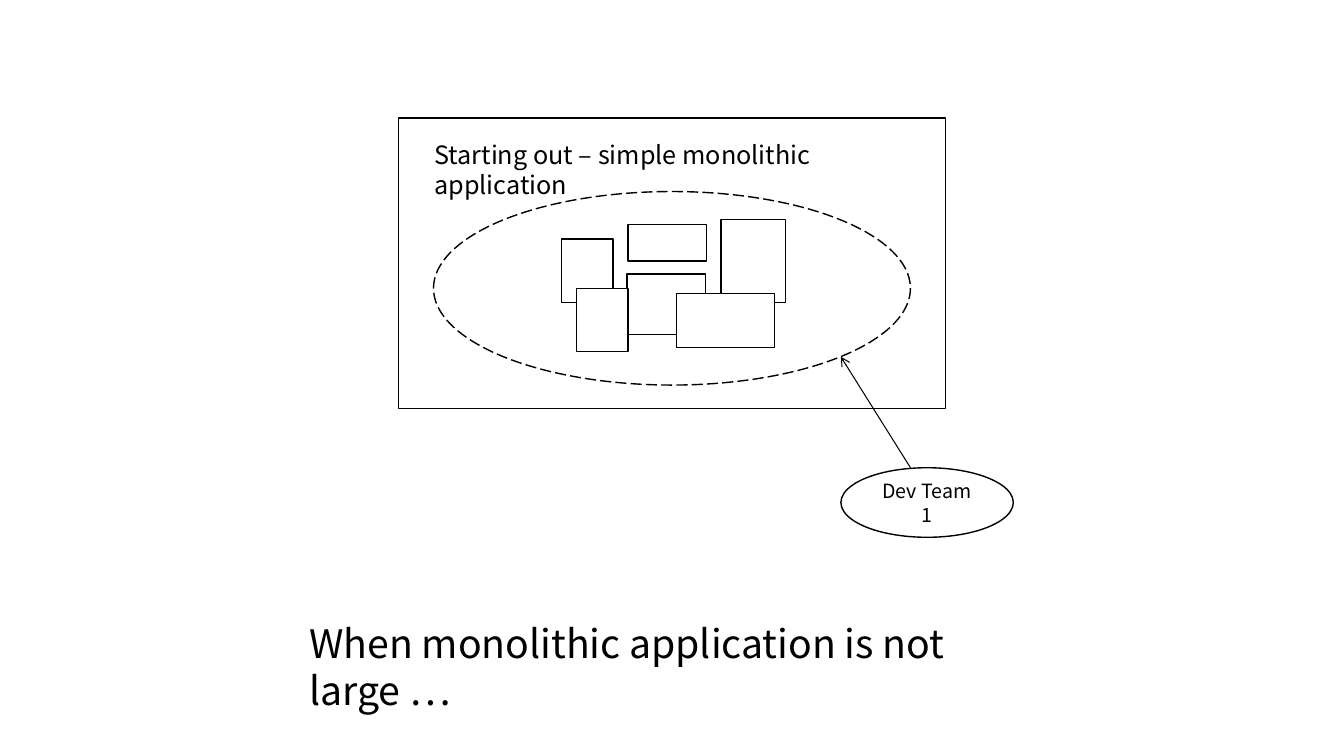
from lxml.etree import SubElement
from pptx import Presentation
from pptx.dml.color import RGBColor
from pptx.enum.dml import MSO_LINE
from pptx.enum.shapes import MSO_CONNECTOR, MSO_SHAPE
from pptx.enum.text import MSO_ANCHOR, PP_ALIGN
from pptx.oxml.ns import qn
from pptx.util import Inches, Pt

BLACK = RGBColor(0x00, 0x00, 0x00)
WHITE = RGBColor(0xFF, 0xFF, 0xFF)
FONT = "Noto Sans CJK SC"
CELL = Inches(0.1)

# Column, row, columns wide, rows high; from back to front
MODULES = [
    (55.7, 23.7, 5.1, 6.3),
    (62.3, 22.3, 7.8, 3.6),
    (62.2, 27.2, 7.8, 6.0),
    (57.2, 28.6, 5.1, 6.3),
    (71.5, 21.8, 6.4, 8.2),
    (67.1, 29.1, 9.7, 5.4),
]


class DiagramSlide:
    """Draws black outlines and text on a grid of tenth-inch cells."""

    def __init__(self, slide):
        self.slide = slide

    def cells(self, *counts):
        """Turn grid counts into lengths."""
        return [round(count * CELL) for count in counts]

    def set_text(self, text_frame, text, size, alignment):
        text_frame.word_wrap = True
        paragraph = text_frame.paragraphs[0]
        paragraph.text = text
        paragraph.alignment = alignment
        paragraph.font.name = FONT
        paragraph.font.size = Pt(size)
        paragraph.font.color.rgb = BLACK

    def label(self, box, text, size):
        shape = self.slide.shapes.add_textbox(*self.cells(*box))
        self.set_text(shape.text_frame, text, size, PP_ALIGN.LEFT)

    def outline(self, kind, box, fill=None, dash=None):
        shape = self.slide.shapes.add_shape(kind, *self.cells(*box))
        shape.shadow.inherit = False
        if fill is None:
            shape.fill.background()
        else:
            shape.fill.solid()
            shape.fill.fore_color.rgb = fill
        shape.line.color.rgb = BLACK
        shape.line.width = Pt(1)
        if dash is not None:
            shape.line.dash_style = dash
        return shape

    def team(self, box, name):
        shape = self.outline(MSO_SHAPE.OVAL, box)
        shape.text_frame.vertical_anchor = MSO_ANCHOR.MIDDLE
        self.set_text(shape.text_frame, name, 14, PP_ALIGN.CENTER)

    def arrow(self, start, end):
        connector = self.slide.shapes.add_connector(
            MSO_CONNECTOR.STRAIGHT, *self.cells(*start, *end))
        connector.line.color.rgb = BLACK
        connector.line.width = Pt(0.75)
        properties = connector._element.spPr
        SubElement(properties.get_or_add_ln(), qn("a:tailEnd"), type="arrow")
        SubElement(properties, qn("a:effectLst"))


def main():
    presentation = Presentation()
    presentation.slide_width = Inches(13.33)
    presentation.slide_height = Inches(7.5)
    diagram = DiagramSlide(
        presentation.slides.add_slide(presentation.slide_layouts[6]))

    diagram.label((29.7, 60.9, 73.9, 5.7),
                  "When monolithic application is not large …", 28)
    diagram.outline(MSO_SHAPE.RECTANGLE, (39.5, 11.7, 54.3, 28.8))
    diagram.label((42.1, 13.3, 49.1, 4),
                  "Starting out – simple monolithic application", 18)
    diagram.outline(MSO_SHAPE.OVAL, (43, 19, 47.3, 19.2),
                    dash=MSO_LINE.LONG_DASH)
    for box in MODULES:
        diagram.outline(MSO_SHAPE.RECTANGLE, box, fill=WHITE)
    diagram.arrow((90.3, 46.4), (83.4, 35.4))
    diagram.team((83.4, 46.4, 17.1, 6.9), "Dev Team 1")

    presentation.save("out.pptx")


if __name__ == "__main__":
    main()
